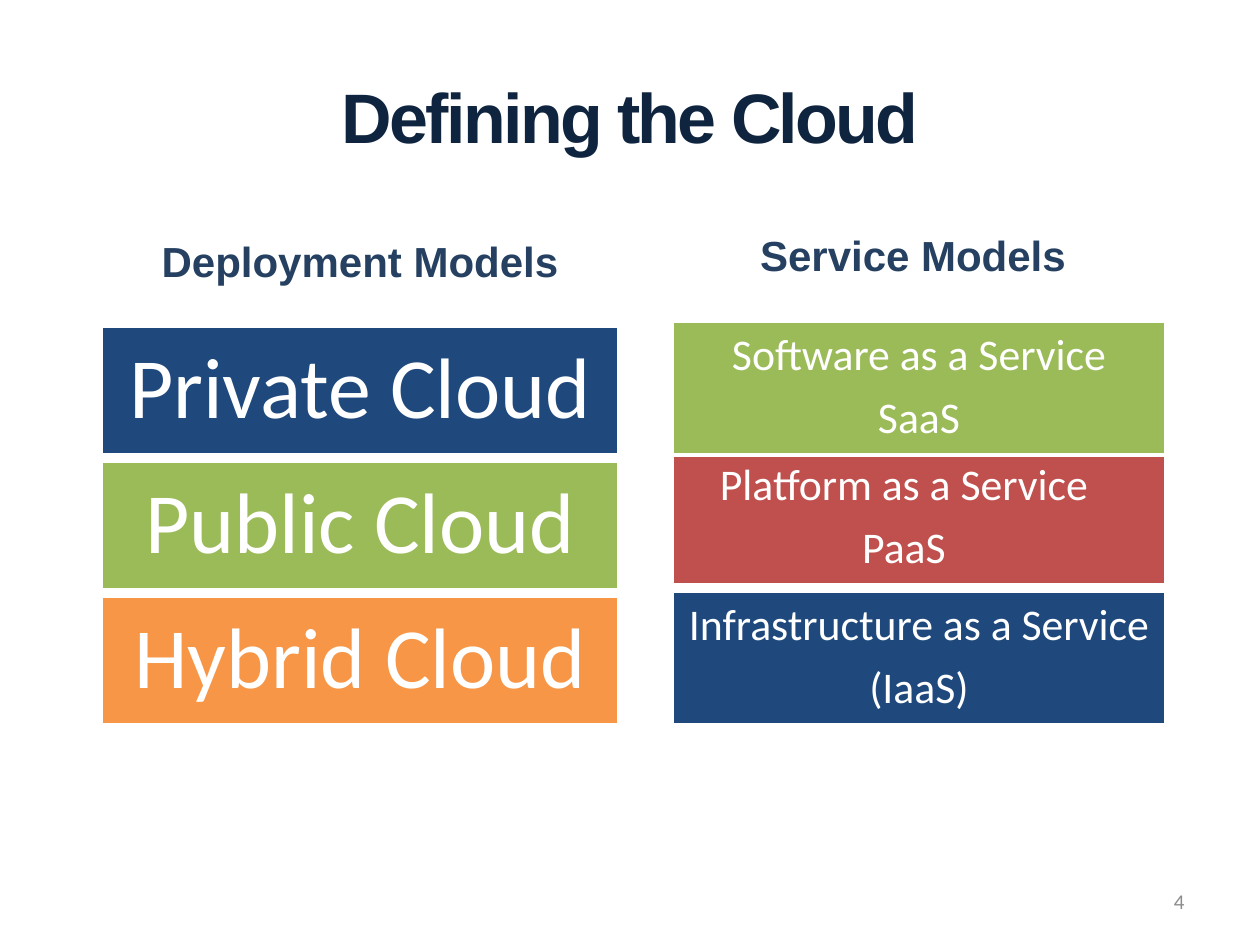
from lxml import etree
from pptx import Presentation
from pptx.dml.color import RGBColor
from pptx.enum.shapes import MSO_SHAPE
from pptx.enum.text import MSO_ANCHOR, MSO_AUTO_SIZE, PP_ALIGN
from pptx.oxml import parse_xml
from pptx.oxml.ns import nsdecls
from pptx.util import Emu, Pt

PX_PER_INCH = 126
NAVY, GREEN, RED, ORANGE, WHITE = "1F497D", "9BBB59", "C0504D", "F79646", "FFFFFF"

TITLE = "Defining the Cloud"
HEADINGS = [
    ("Service Models", (746, 223, 334, 63)),
    ("Deployment Models", (147, 229, 426, 63)),
]
# Lines, fill, top and right indent of the first line; the upper boxes overlap the lower ones
SERVICES = [
    (["Infrastructure as a Service", "(IaaS)"], NAVY, 591, 0),
    (["Platform as a Service", "PaaS"], RED, 451, 30),
    (["Software as a Service", "SaaS"], GREEN, 321, 0),
]
DEPLOYMENTS = [("Private Cloud", NAVY), ("Public Cloud", GREEN), ("Hybrid Cloud", ORANGE)]
DEPLOYMENT_TOP, DEPLOYMENT_PITCH = 326, 135
PAGE_NUMBER = "4"


def px(length):
    return Emu(round(length * 914400 / PX_PER_INCH))


def color(hex_string):
    return RGBColor.from_string(hex_string)


def add_line(paragraph, text, size, font, hex_color, align=PP_ALIGN.CENTER, bold=False):
    paragraph.alignment = align
    run = paragraph.add_run()
    run.text = text
    run.font.size = Pt(size)
    run.font.name = font
    run.font.bold = bold
    run.font.color.rgb = color(hex_color)
    return run


def add_label(slide, place, text, size, font, hex_color, wrap=True, **style):
    label = slide.shapes.add_textbox(*map(px, place))
    frame = label.text_frame
    frame.word_wrap = wrap
    frame.vertical_anchor = MSO_ANCHOR.MIDDLE if wrap else MSO_ANCHOR.TOP
    frame.auto_size = MSO_AUTO_SIZE.NONE if wrap else MSO_AUTO_SIZE.SHAPE_TO_FIT_TEXT
    return add_line(frame.paragraphs[0], text, size, font, hex_color, **style)


def tighten_and_outline(run):
    """Set narrow letter spacing and a faint white outline."""
    properties = run.font._element
    properties.set("spc", "-150")
    properties.insert(0, parse_xml(
        f'<a:ln {nsdecls("a")} w="9525"><a:solidFill><a:srgbClr val="{WHITE}">'
        '<a:alpha val="40000"/></a:srgbClr></a:solidFill><a:prstDash val="solid"/></a:ln>'))


def add_model(slide, place, lines, size, fill, inset, right_indent=0):
    box = slide.shapes.add_shape(MSO_SHAPE.RECTANGLE, *map(px, place))
    box.shadow.inherit = False
    box.fill.solid()
    box.fill.fore_color.rgb = color(fill)
    box.line.color.rgb = color(WHITE)
    box.line.width = Pt(2)
    frame = box.text_frame
    frame.word_wrap = True
    frame.vertical_anchor = MSO_ANCHOR.MIDDLE
    frame.margin_left = frame.margin_right = px(inset)
    frame.margin_top = frame.margin_bottom = px(inset)
    for index, text in enumerate(lines):
        paragraph = frame.add_paragraph() if index else frame.paragraphs[0]
        paragraph.line_spacing = 0.9
        paragraph.space_after = Pt(round(size * 0.35, 2))
        add_line(paragraph, text, size, "Calibri", WHITE)
    if right_indent:
        frame.paragraphs[0]._p.get_or_add_pPr().set("marR", str(px(right_indent)))


def main():
    deck = Presentation()
    deck.slide_width, deck.slide_height = px(1260), px(945)
    slide = deck.slides.add_slide(deck.slide_layouts[6])

    title = add_label(slide, (105, 53, 1050, 126), TITLE, 40, "Arial", "0F243E", bold=True)
    tighten_and_outline(title)
    for heading, place in HEADINGS:
        add_label(slide, place, heading, 24, "Arial", "254061", wrap=False, bold=True)
    for lines, fill, top, right_indent in SERVICES:
        add_model(slide, (672, top, 494, 134), lines, 25, fill, 9, right_indent)
    for row, (name, fill) in enumerate(DEPLOYMENTS):
        top = DEPLOYMENT_TOP + row * DEPLOYMENT_PITCH
        add_model(slide, (101, top, 518, 129), [name], 49, fill, 18)
    add_label(slide, (903, 876, 294, 50), PAGE_NUMBER, 12, "Calibri", "8C8C8C",
              align=PP_ALIGN.RIGHT)

    deck.save("out.pptx")


if __name__ == "__main__":
    main()
